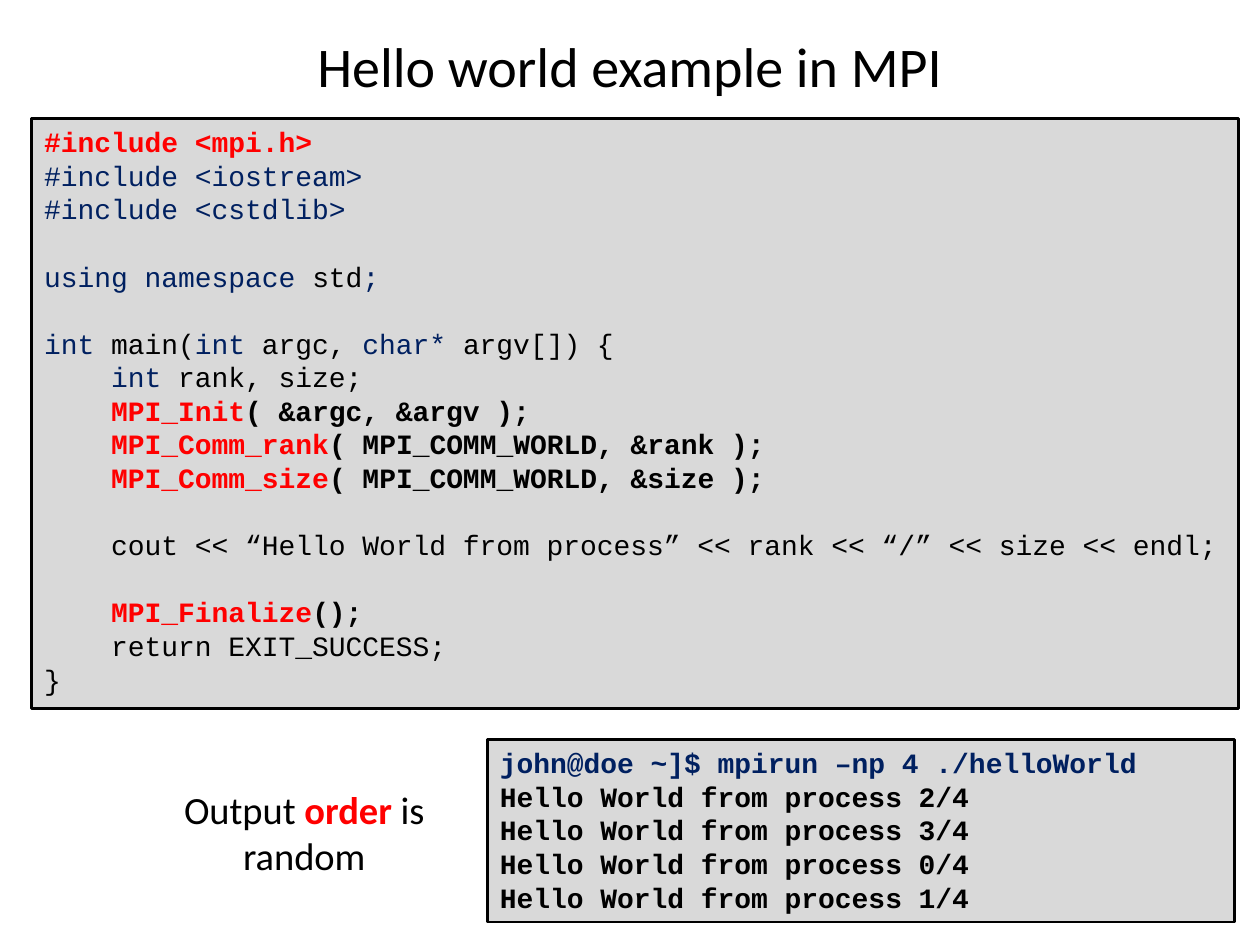
"""Build the slide showing a Hello World program in MPI and its output."""
from pptx import Presentation
from pptx.dml.color import RGBColor
from pptx.enum.shapes import MSO_SHAPE
from pptx.enum.text import MSO_ANCHOR, PP_ALIGN
from pptx.util import Cm, Pt

BLACK = RGBColor(0x00, 0x00, 0x00)
NAVY = RGBColor(0x00, 0x20, 0x60)
RED = RGBColor(0xFF, 0x00, 0x00)
GREY = RGBColor(0xD9, 0xD9, 0xD9)
CODE_LINE = Pt(19.2)


def write_lines(frame, lines, font_name, size, align):
    gap = 0
    first = True
    for line in lines:
        if not line:
            gap = CODE_LINE
            continue
        paragraph = frame.paragraphs[0] if first else frame.add_paragraph()
        paragraph.alignment = align
        paragraph.space_before = gap
        paragraph.font.name = font_name
        paragraph.font.size = size
        agreed = len({part[1:] for part in line}) == 1
        for text, color, bold in line:
            run = paragraph.add_run()
            run.text = text
            font = paragraph.font if agreed else run.font
            font.color.rgb = color
            font.bold = bold
        gap = 0
        first = False


def add_listing(left, top, width, height, lines):
    panel = slide.shapes.add_shape(MSO_SHAPE.RECTANGLE, left, top, width, height)
    panel.shadow.inherit = False
    panel.fill.solid()
    panel.fill.fore_color.rgb = GREY
    panel.line.color.rgb = BLACK
    panel.line.width = Pt(1.5)
    panel.text_frame.word_wrap = True
    panel.text_frame.vertical_anchor = MSO_ANCHOR.TOP
    write_lines(panel.text_frame, lines, "Courier New", Pt(16), PP_ALIGN.LEFT)


presentation = Presentation()
presentation.slide_width = Cm(25.4)
presentation.slide_height = Cm(19.05)
slide = presentation.slides.add_slide(presentation.slide_layouts[6])

heading = slide.shapes.add_textbox(Cm(1.27), Cm(0.43), Cm(22.86), Cm(1.78)).text_frame
heading.word_wrap = True
heading.vertical_anchor = MSO_ANCHOR.MIDDLE
write_lines(heading, [[("Hello world example in MPI", BLACK, False)]],
            "Calibri", Pt(32), PP_ALIGN.CENTER)

program = [
    [("#include <mpi.h>", RED, True)],
    [("#include <iostream>", NAVY, False)],
    [("#include <cstdlib>", NAVY, False)],
    [],
    [("using namespace ", NAVY, False), ("std", BLACK, False), (";", NAVY, False)],
    [],
    [("int ", NAVY, False), ("main(", BLACK, False), ("int ", NAVY, False),
     ("argc, ", BLACK, False), ("char* ", NAVY, False), ("argv[]) {", BLACK, False)],
    [("    int ", NAVY, False), ("rank, size;", BLACK, False)],
    [("    MPI_Init", RED, True), ("( &argc, &argv );", BLACK, True)],
    [("    MPI_Comm_rank", RED, True), ("( MPI_COMM_WORLD, &rank );", BLACK, True)],
    [("    MPI_Comm_size", RED, True), ("( MPI_COMM_WORLD, &size );", BLACK, True)],
    [],
    [("    cout << “Hello World from process” << rank << “/” << size << endl;",
      BLACK, False)],
    [],
    [("    MPI_Finalize", RED, True), ("();", BLACK, True)],
    [("    return EXIT_SUCCESS;", BLACK, False)],
    [("}", BLACK, False)],
]
add_listing(Cm(0.64), Cm(2.39), Cm(24.33), Cm(11.89), program)

session = [[("john@doe ~]$ mpirun –np 4 ./helloWorld", NAVY, True)]]
for rank in (2, 3, 0, 1):
    session.append([(f"Hello World from process {rank}/4", BLACK, True)])
add_listing(Cm(9.83), Cm(14.91), Cm(15.06), Cm(3.68), session)

remark = slide.shapes.add_textbox(Cm(3.43), Cm(15.72), Cm(5.41), Cm(2.13)).text_frame
remark.word_wrap = False
write_lines(remark, [
    [("Output ", BLACK, False), ("order", RED, True), (" is", BLACK, False)],
    [("random", BLACK, False)],
], "Calibri", Pt(22), PP_ALIGN.CENTER)

presentation.save("out.pptx")
